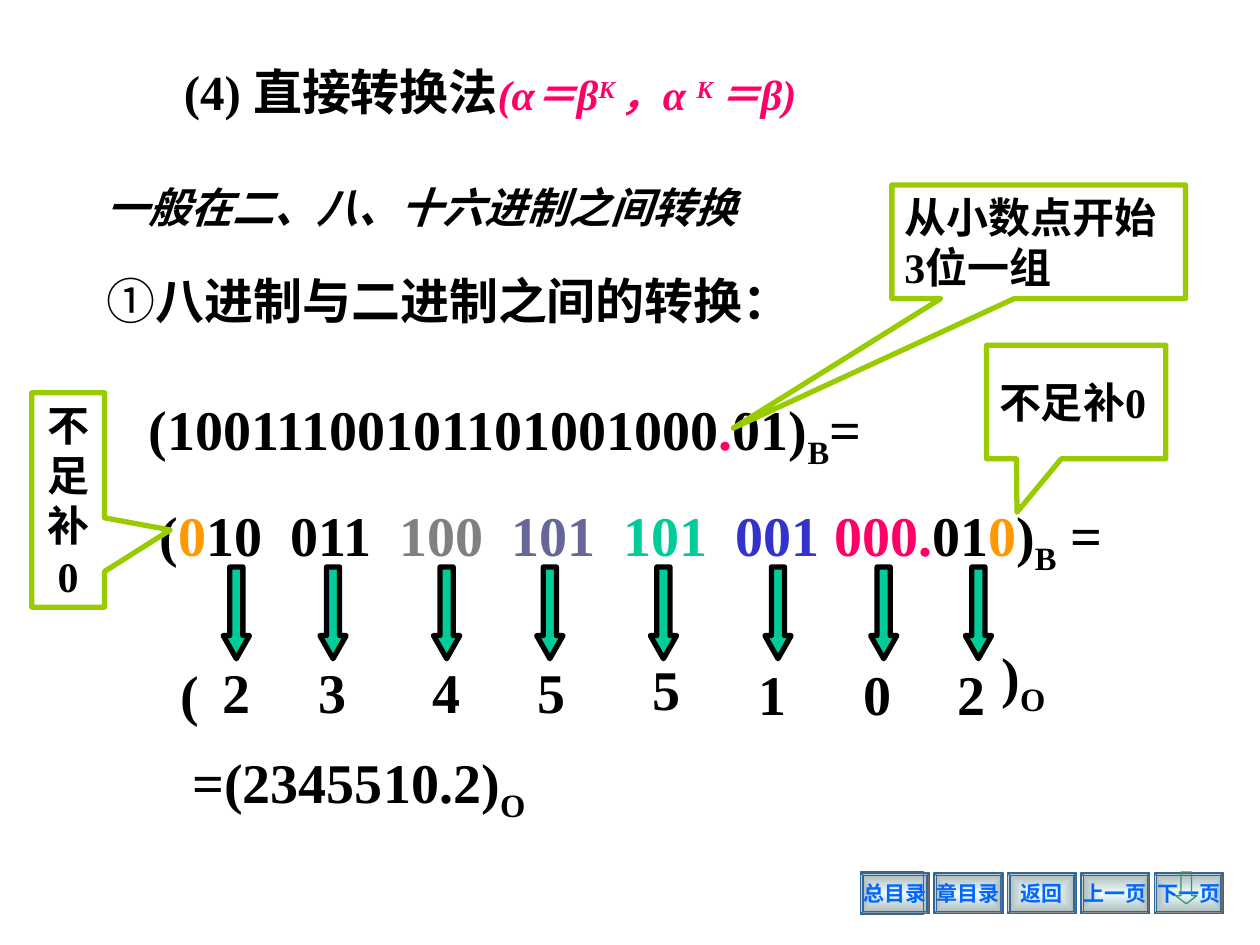
from lxml import etree
from pptx import Presentation
from pptx import util as u
from pptx.dml.color import RGBColor
from pptx.enum import shapes, text
from pptx.oxml.ns import qn

Cm = u.Cm
KIND = shapes.MSO_SHAPE
MID, TOP = text.MSO_ANCHOR.MIDDLE, text.MSO_ANCHOR.TOP
LEFT, CENTER = text.PP_ALIGN.LEFT, text.PP_ALIGN.CENTER
LATIN, HAN = "Times New Roman", "Noto Sans CJK SC"
BLACK, PINK, ORANGE, GREEN = "000000", "FF0066", "FF9900", "00CC99"
BASE = {"name": LATIN, "size": 32, "bold": True, "italic": False, "color": BLACK}
SUB, SUP = -25000, 30000

# digit, left and top of its box, left of its arrow (cm)
DIGITS = [
    ("2", 4.24, 13.11, 4.5),
    ("3", 6.17, 13.11, 6.45),
    ("4", 8.46, 13.11, 8.74),
    ("5", 10.59, 13.11, 10.82),
    ("5", 12.9, 13.06, 13.11),
    ("1", 15.04, 13.16, 15.42),
    ("0", 17.15, 13.16, 17.55),
    ("2", 19.05, 13.16, 19.46),
]
BUTTONS = ["总目录", "章目录", "返回", "上一页", "下一页"]


def tint(code):
    return RGBColor.from_string(code)


def box(*sizes):
    return [Cm(size) for size in sizes]


def add_run(para, words, look):
    """Add a run; look overrides BASE and may hold a baseline shift."""
    look = {**BASE, **look}
    run = para.add_run()
    run.text = words
    run.font.color.rgb = tint(look.pop("color"))
    shift = look.pop("shift", 0)
    look["size"] = u.Pt(look["size"])
    for key, value in look.items():
        setattr(run.font, key, value)
    props = run._r.get_or_add_rPr()
    if shift:
        props.set("baseline", str(shift))
    props.find(qn("a:latin")).addnext(
        props.makeelement(qn("a:ea"), {"typeface": HAN}))


def write(shape, lines, align=LEFT, anchor=TOP, wrap=True):
    """Fill a shape with paragraphs, each a list of (words, look) runs."""
    frame = shape.text_frame
    form = {"word_wrap": wrap, "vertical_anchor": anchor,
            "auto_size": text.MSO_AUTO_SIZE.NONE}
    for key, value in form.items():
        setattr(frame, key, value)
    for num, runs in enumerate(lines):
        para = frame.add_paragraph() if num else frame.paragraphs[0]
        para.alignment = align
        para.space_before = u.Pt(0)
        for words, look in runs:
            add_run(para, words, look)


def add_text(home, place, runs, **form):
    write(home.add_textbox(*box(*place)), [runs], **form)


def add_shape(home, kind, place, line, width, fill=None, adjust=()):
    shape = home.add_shape(kind, *box(*place))
    shape.shadow.inherit = False
    shape.line.color.rgb = tint(line)
    shape.line.width = u.Pt(width)
    if fill:
        shape.fill.solid()
        shape.fill.fore_color.rgb = tint(fill)
    else:
        shape.fill.background()
    for num, value in enumerate(adjust):
        shape.adjustments[num] = value
    return shape


def glow(shape, inner, outer):
    """Give a shape a gradient that runs from its centre to its edges."""
    shape.fill.gradient()
    for stop, code in zip(shape.fill.gradient_stops, (inner, outer)):
        stop.color.rgb = tint(code)
    grad = shape._element.spPr.find(qn("a:gradFill"))
    grad.remove(grad.find(qn("a:lin")))
    route = etree.SubElement(grad, qn("a:path"), {"path": "rect"})
    etree.SubElement(route, qn("a:fillToRect"),
                     {side: "50000" for side in "ltrb"})


def add_nav(home):
    for num, label in enumerate(BUTTONS):
        place = (17.35 + 1.48 * num, 17.6, 1.39, 0.82)
        button = add_shape(home, KIND.BEVEL, place, "336699", 0.75, adjust=[0.06])
        glow(button, "ECFDFE", "AAB6B7")
        write(button, [[(label, {"size": 12, "color": "0066FF"})]],
              align=CENTER, anchor=MID, wrap=False)
    add_shape(home, KIND.RECTANGLE, (17.35, 17.58, 1.27, 0.86), "336699", 0.75)


def add_heads(slide):
    rose = {"size": 24, "color": PINK, "italic": True}
    high = {**rose, "shift": SUP}
    title, body = slide.placeholders
    for shape, place in ((title, (1.7, 1.12, 16.36, 2.46)),
                         (body, (1.9, 3.53, 15.67, 1.7))):
        shape.left, shape.top, shape.width, shape.height = box(*place)
    write(title, [[("(4) 直接转换法", {"size": 28}), ("(α＝β", rose), ("K ", high),
                   ("，α ", rose), ("K ", high), ("＝β)", rose)]], align=CENTER)
    props = body.text_frame.paragraphs[0]._p.get_or_add_pPr()
    props.set("marL", str(Cm(0.95)))
    props.set("indent", str(-Cm(0.95)))
    etree.SubElement(props, qn("a:buNone"))
    write(body, [[("一般在二、八、十六进制之间转换", {"size": 24, "italic": True})]])


def add_sums(home):
    low = {"shift": SUB}
    han = {"name": HAN, "size": 28}
    add_text(home, (1.9, 5.33, 17.1, 1.45),
             [("①", {**han, "bold": False}), ("八进制与二进制之间的转换：", han)])
    add_text(home, (2.75, 7.82, 18.4, 1.8),
             [("(10011100101101001000", {}), (".", {"color": PINK}),
              ("01)", {}), ("B", low), ("=", {})])
    parts = [("(", BLACK), ("0", ORANGE), ("10  011  ", BLACK), ("100", "808080"),
             ("  101", "666699"), ("  101", GREEN), ("  001 ", "3333CC"),
             ("000.", PINK), ("01", BLACK), ("0", ORANGE), (")", BLACK)]
    add_text(home, (2.97, 9.96, 20.32, 1.8),
             [(words, {"color": code}) for words, code in parts]
             + [("B", low), (" =", {})])
    pair = home.add_group_shape().shapes
    add_text(pair, (3.38, 13.16, 0.89, 1.63), [("(", {})], anchor=MID, wrap=False)
    add_text(pair, (19.94, 12.8, 1.4, 1.8), [(")", {}), ("O", low)],
             anchor=MID, wrap=False)
    add_text(home, (3.63, 14.94, 7.21, 1.8), [("=(2345510.2)", {}), ("O", low)],
             align=CENTER, anchor=MID, wrap=False)


def add_digits(home):
    for digit, left, top, tip in DIGITS:
        group = home.add_group_shape().shapes
        add_text(group, (left, top, 1.07, 1.63), [(digit, {})],
                 align=CENTER, anchor=MID, wrap=False)
        add_shape(group, KIND.DOWN_ARROW, (tip, 11.43, 0.53, 1.85), BLACK, 3,
                  GREEN, (0.5, 0.88))


def add_note(home, place, tail, lines, align=LEFT):
    note = add_shape(home, KIND.RECTANGULAR_CALLOUT, place, "99CC00", 3, adjust=tail)
    write(note, [[(line, {"size": 24})] for line in lines], align, MID)


def main():
    deck = Presentation()
    deck.slide_width, deck.slide_height = box(25.4, 19.05)
    slide = deck.slides.add_slide(deck.slide_layouts[1])
    home = slide.shapes
    add_nav(home)
    add_heads(slide)
    add_sums(home)
    add_digits(home)
    add_note(home, (17.98, 3.73, 5.92, 2.29), (-1.04, 1.64),
             ["从小数点开始", "3位一组"])
    add_note(home, (19.89, 6.96, 3.61, 2.29), (-0.33, 0.97), ["不足补0"])
    add_note(home, (0.64, 7.92, 1.47, 4.32), (1.4, 0.14), ["不足补0"], CENTER)
    add_shape(home, KIND.DOWN_ARROW, (23.7, 17.58, 0.43, 0.64), "339966", 0.75,
              adjust=(0.5, 0.38))
    deck.save("out.pptx")


if __name__ == "__main__":
    main()
